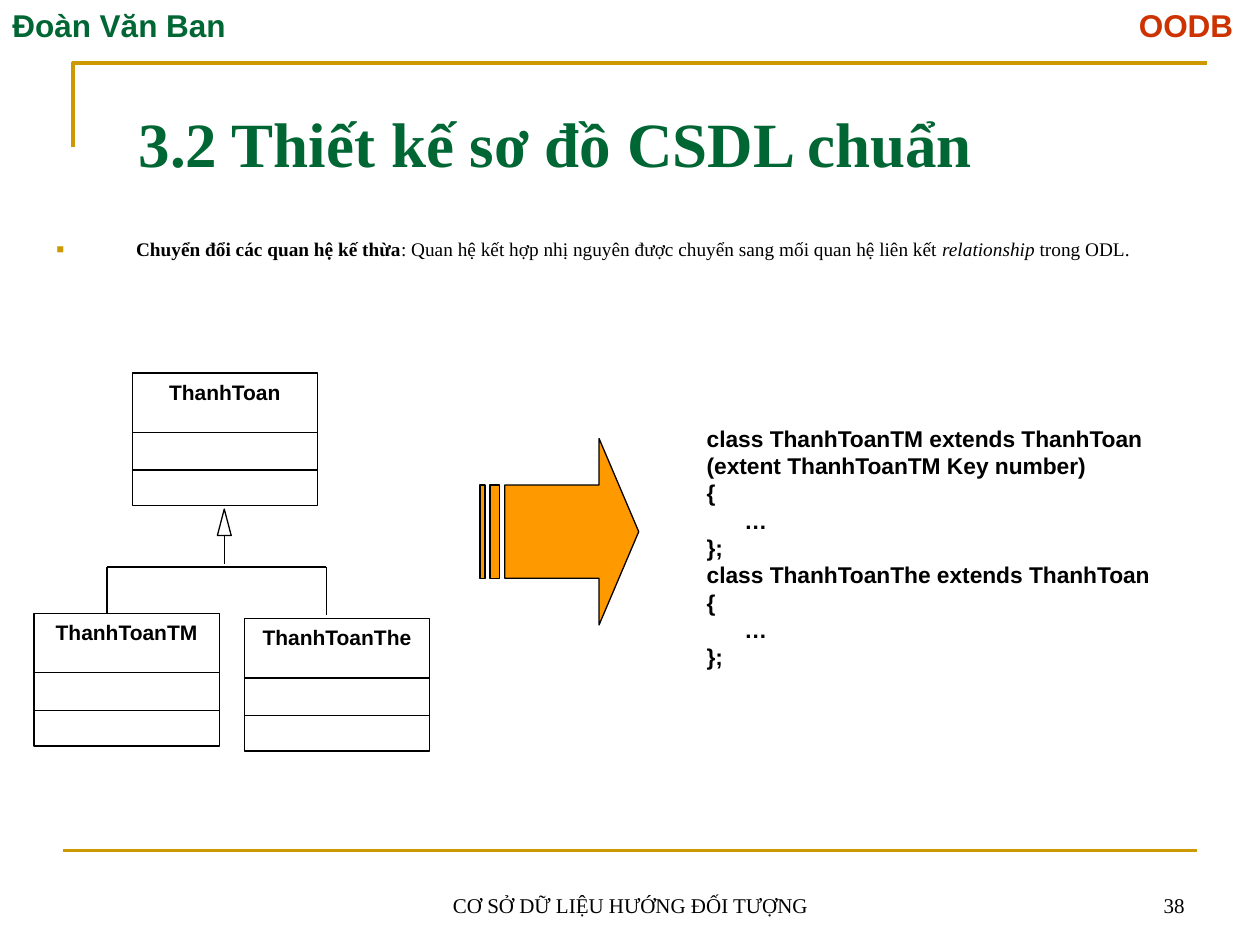
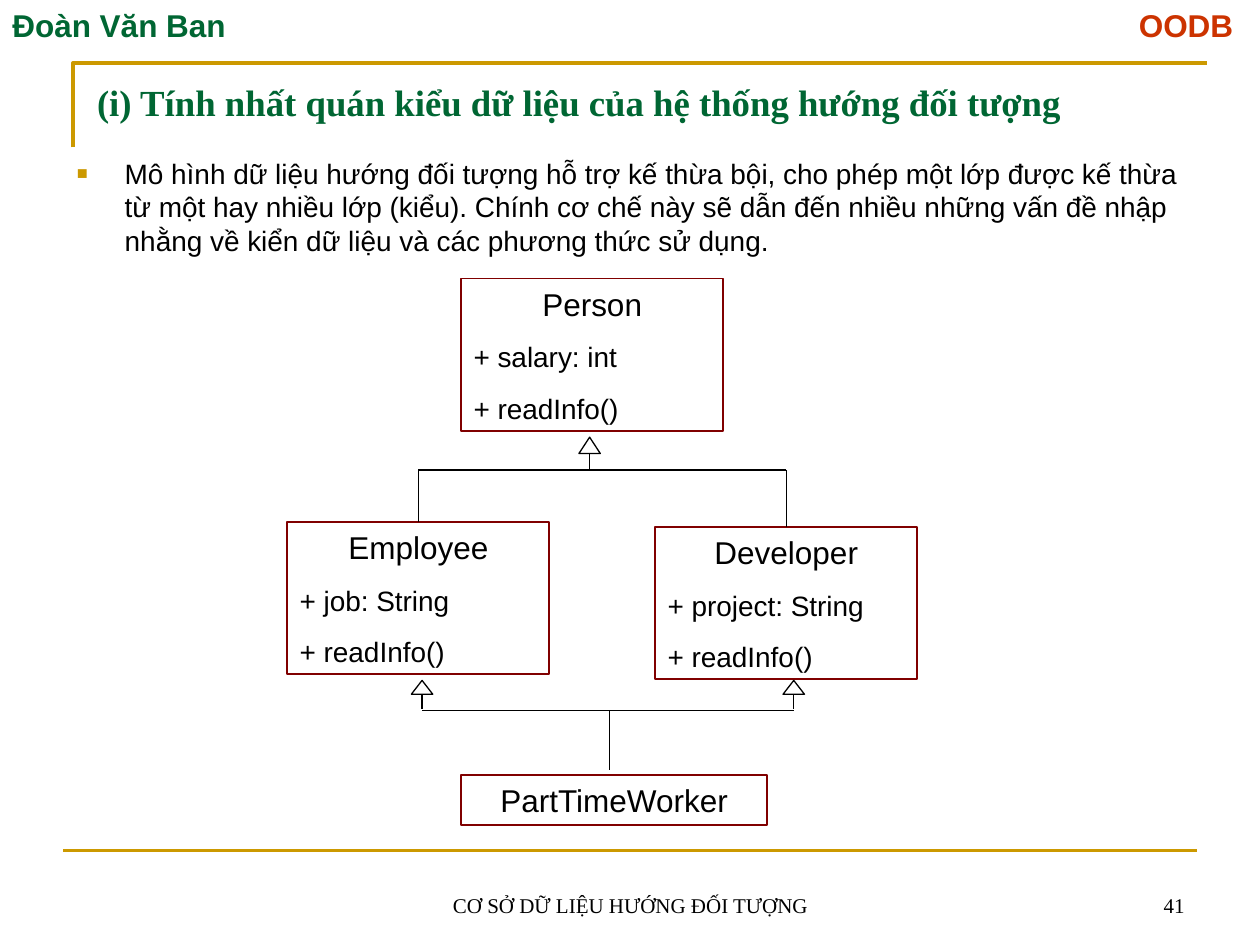
from dataclasses import dataclass

from lxml import etree
from pptx import Presentation
from pptx.dml.color import RGBColor
from pptx.enum.shapes import MSO_CONNECTOR, MSO_SHAPE
from pptx.enum.text import MSO_ANCHOR, MSO_AUTO_SIZE, PP_ALIGN
from pptx.oxml.ns import qn
from pptx.util import Inches, Pt

STRAIGHT = MSO_CONNECTOR.STRAIGHT
RECTANGLE, TRIANGLE = MSO_SHAPE.RECTANGLE, MSO_SHAPE.ISOSCELES_TRIANGLE
STRIPED_ARROW = MSO_SHAPE.STRIPED_RIGHT_ARROW
TOP, BOTTOM = MSO_ANCHOR.TOP, MSO_ANCHOR.BOTTOM
LEFT, CENTER, RIGHT = PP_ALIGN.LEFT, PP_ALIGN.CENTER, PP_ALIGN.RIGHT
JUSTIFY = PP_ALIGN.JUSTIFY
FIXED_SIZE = MSO_AUTO_SIZE.NONE

GOLD = RGBColor(0xCC, 0x99, 0x00)
GREEN = RGBColor(0x00, 0x66, 0x33)
RED = RGBColor(0xCC, 0x33, 0x00)
ORANGE = RGBColor(0xFF, 0x99, 0x00)
MAROON = RGBColor(0x80, 0x00, 0x00)
BLACK = RGBColor(0x00, 0x00, 0x00)
WHITE = RGBColor(0xFF, 0xFF, 0xFF)

SANS, SERIF = "Arial", "Times New Roman"
TOP_SIDE = 0


@dataclass(frozen=True)
class Frame:
    left: float
    top: float
    width: float
    height: float

    def lengths(self) -> list:
        return [Inches(n) for n in (self.left, self.top, self.width, self.height)]


@dataclass(frozen=True)
class TextStyle:
    size: float
    font: str = SANS
    color: RGBColor = BLACK
    bold: bool = False


@dataclass(frozen=True)
class ClassBox:
    name: str
    left: float
    top: float
    members: tuple = ()
    width: float = 2.08
    height: float = 1.21


@dataclass(frozen=True)
class InheritanceArrow:
    tip_x: float
    top: float
    width: float
    height: float
    stem_end: float


HEADER = TextStyle(18, color=GREEN, bold=True)
FOOTER = TextStyle(12, SERIF)
CODE = TextStyle(13, bold=True)
UML_NAME = TextStyle(12, bold=True)
CLASS_NAME, CLASS_MEMBER = TextStyle(18), TextStyle(16)


# Text helpers
def style_paragraph(para, style: TextStyle, align=LEFT) -> None:
    para.alignment = align
    font = para.font
    font.size, font.name, font.bold = Pt(style.size), style.font, style.bold
    font.color.rgb = style.color


def prepare_text(shape, anchor=TOP):
    frame = shape.text_frame
    frame.word_wrap = True
    frame.auto_size = FIXED_SIZE
    frame.vertical_anchor = anchor
    return frame


def add_text(page, place: Frame, lines: list, style: TextStyle, align=LEFT, anchor=TOP):
    frame = prepare_text(page.shapes.add_textbox(*place.lengths()), anchor)
    for index, line in enumerate(lines):
        para = frame.add_paragraph() if index else frame.paragraphs[0]
        para.text = line
        style_paragraph(para, style, align)
    return frame


def place_placeholder(shape, place: Frame, anchor=TOP):
    shape.left, shape.top, shape.width, shape.height = place.lengths()
    return prepare_text(shape, anchor)


def set_title(page, text: str, place: Frame, size: float, anchor) -> None:
    frame = place_placeholder(page.shapes.title, place, anchor)
    frame.text = text
    style_paragraph(frame.paragraphs[0], TextStyle(size, SERIF, GREEN, True))


def add_bullet(para, indent: float) -> None:
    properties = para._p.get_or_add_pPr()
    properties.set("marL", str(Inches(indent)))
    properties.set("indent", str(-Inches(indent)))
    color = etree.SubElement(properties, qn("a:buClr"))
    etree.SubElement(color, qn("a:srgbClr"), val=str(GOLD))
    etree.SubElement(properties, qn("a:buSzPct"), val="65000")
    etree.SubElement(properties, qn("a:buFont"), typeface=SANS)
    etree.SubElement(properties, qn("a:buChar"), char="■")


# Shape helpers
def add_line(page, x1: float, y1: float, x2: float, y2: float, color=BLACK, width=0.75):
    line = page.shapes.add_connector(STRAIGHT, *(Inches(n) for n in (x1, y1, x2, y2)))
    line.line.color.rgb = color
    line.line.width = Pt(width)
    etree.SubElement(line._element.spPr, qn("a:effectLst"))
    return line


def paint(shape, fill=None, line=BLACK, width=0.75) -> None:
    shape.shadow.inherit = False
    if fill is None:
        shape.fill.background()
    else:
        shape.fill.solid()
        shape.fill.fore_color.rgb = fill
    shape.line.color.rgb = line
    shape.line.width = Pt(width)


def add_preset(page, preset, place: Frame, fill=None, line=BLACK, width=0.75):
    shape = page.shapes.add_shape(preset, *place.lengths())
    paint(shape, fill, line, width)
    return shape


def add_inheritance_arrow(page, arrow: InheritanceArrow) -> None:
    left = arrow.tip_x - arrow.width / 2
    add_preset(page, TRIANGLE, Frame(left, arrow.top, arrow.width, arrow.height), WHITE)
    add_line(page, arrow.tip_x, arrow.top + arrow.height, arrow.tip_x, arrow.stem_end)


def add_uml_class(page, name: str, left: float, top: float) -> None:
    width, height = 1.47, 1.05
    box = add_preset(page, RECTANGLE, Frame(left, top, width, height), WHITE)
    para = prepare_text(box).paragraphs[0]
    para.text = name
    style_paragraph(para, UML_NAME, CENTER)
    for offset in (0.47, 0.77):
        add_line(page, left, top + offset, left + width, top + offset)


def add_class_box(page, item: ClassBox):
    place = Frame(item.left, item.top, item.width, item.height)
    box = add_preset(page, RECTANGLE, place, line=MAROON, width=1)
    frame = prepare_text(box)
    heading = frame.paragraphs[0]
    heading.text = item.name
    style_paragraph(heading, CLASS_NAME, CENTER)
    for member in item.members:
        para = frame.add_paragraph()
        para.text = member
        para.space_before = Pt(10)
        style_paragraph(para, CLASS_MEMBER)
    return box


# Frame lines, header and footer shared by all slides
def add_page(deck, number: int):
    page = deck.slides.add_slide(deck.slide_layouts[1])
    builder = page.shapes.build_freeform(Inches(0.58), Inches(1.17))
    corner = [(Inches(0.58), Inches(0.5)), (Inches(9.58), Inches(0.5))]
    builder.add_line_segments(corner, close=False)
    paint(builder.convert_to_shape(), line=GOLD, width=2.25)
    add_line(page, 0.5, 6.75, 9.5, 6.75, GOLD, 1.5)

    header = prepare_text(page.shapes.add_textbox(*Frame(0, 0, 10, 0.4).lengths()))
    para = header.paragraphs[0]
    tabs = etree.SubElement(para._p.get_or_add_pPr(), qn("a:tabLst"))
    etree.SubElement(tabs, qn("a:tab"), pos=str(Inches(9.69)), algn="r")
    para.add_run().text = "Đoàn Văn Ban\t"
    course = para.add_run()
    course.text = "OODB"
    style_paragraph(para, HEADER)
    course.font.color.rgb = RED

    add_text(page, Frame(3.42, 6.83, 3.17, 0.5), ["CƠ SỞ DỮ LIỆU HƯỚNG ĐỐI TƯỢNG"],
             FOOTER, CENTER, BOTTOM)
    add_text(page, Frame(7.17, 6.83, 2.33, 0.5), [str(number)], FOOTER, RIGHT, BOTTOM)
    return page


def build_schema_slide(deck) -> None:
    page = add_page(deck, 38)
    set_title(page, "3.2 Thiết kế sơ đồ CSDL chuẩn", Frame(1, 0.56, 9, 0.92), 36, BOTTOM)

    # Conversion rule
    frame = place_placeholder(page.placeholders[1], Frame(0.35, 1.82, 9.65, 0.59))
    frame.margin_top = Inches(0.1)
    para = frame.paragraphs[0]
    add_bullet(para, 0.63)
    para.line_spacing = 0.8
    para.space_before = Pt(7.5)
    style_paragraph(para, TextStyle(11, SERIF), JUSTIFY)
    for text, bold, italic in (
        ("Chuyển đổi các quan hệ kế thừa", True, False),
        (": Quan hệ kết hợp nhị nguyên được chuyển sang mối quan hệ liên kết ", False, False),
        ("relationship ", False, True),
        ("trong ODL.", False, False),
    ):
        span = para.add_run()
        span.text = text
        span.font.bold, span.font.italic = bold, italic

    # Arrow from the diagram to the generated code
    arrow = add_preset(page, STRIPED_ARROW, Frame(3.81, 3.48, 1.26, 1.48), ORANGE)
    arrow.adjustments[0], arrow.adjustments[1] = 0.5, 0.25

    code = add_text(page, Frame(5.51, 3.32, 4.21, 2.91), [
        "class ThanhToanTM extends ThanhToan",
        "(extent ThanhToanTM Key number)",
        "{", "…", "};",
        "class ThanhToanThe extends ThanhToan",
        "{", "…", "};",
    ], CODE)
    for para in code.paragraphs:
        if para.text == "…":
            para._p.get_or_add_pPr().set("marL", str(Inches(0.3)))

    # Payment class tree
    add_inheritance_arrow(page, InheritanceArrow(1.78, 4.04, 0.11, 0.21, 4.48))
    add_line(page, 0.85, 4.5, 2.59, 4.5)
    for x in (0.85, 2.59):
        add_line(page, x, 4.5, x, 4.88)
    for name, left, top in (("ThanhToanTM", 0.27, 4.87), ("ThanhToanThe", 1.94, 4.91),
                            ("ThanhToan", 1.05, 2.96)):
        add_uml_class(page, name, left, top)


def build_consistency_slide(deck) -> None:
    page = add_page(deck, 41)
    set_title(page, "(i) Tính nhất quán kiểu dữ liệu của hệ thống hướng đối tượng",
              Frame(0.67, 0.58, 9, 0.92), 21, TOP)

    # Explanation
    frame = place_placeholder(page.placeholders[1], Frame(0.51, 1.19, 9, 4.95))
    para = frame.paragraphs[0]
    para.text = (
        "Mô hình dữ liệu hướng đối tượng hỗ trợ kế thừa bội, cho phép một lớp được kế thừa "
        "từ một hay nhiều lớp (kiểu). Chính cơ chế này sẽ dẫn đến nhiều những vấn đề nhập "
        "nhằng về kiển dữ liệu và các phương thức sử dụng."
    )
    add_bullet(para, 0.38)
    para.space_before = Pt(4)
    style_paragraph(para, TextStyle(16))

    # Classes
    employee = ClassBox("Employee", 2.28, 4.14, ("+ job: String", "+ readInfo()"))
    developer = ClassBox("Developer", 5.2, 4.18, ("+ project: String", "+ readInfo()"))
    add_class_box(page, ClassBox("Person", 3.66, 2.21, ("+ salary: int", "+ readInfo()")))
    add_class_box(page, ClassBox("PartTimeWorker", 3.66, 6.15, width=2.43, height=0.4))

    # Person and its two subclasses
    add_inheritance_arrow(page, InheritanceArrow(4.68, 3.47, 0.17, 0.13, 3.73))
    middles = [item.left + item.width / 2 for item in (employee, developer)]
    add_line(page, middles[0], 3.73, middles[1], 3.73)
    for item, middle in zip((employee, developer), middles):
        box = add_class_box(page, item)
        branch = add_line(page, middle, 3.73, middle, item.top)
        branch.end_connect(box, TOP_SIDE)

    # Multiple inheritance of PartTimeWorker
    for tip_x in (3.35, 6.3):
        add_inheritance_arrow(page, InheritanceArrow(tip_x, 5.4, 0.17, 0.11, 5.63))
    add_line(page, 3.35, 5.64, 6.3, 5.64)
    add_line(page, 4.84, 6.11, 4.84, 5.64)


def main() -> None:
    deck = Presentation()
    deck.slide_width, deck.slide_height = Inches(10), Inches(7.5)
    build_schema_slide(deck)
    build_consistency_slide(deck)
    deck.save("out.pptx")


if __name__ == "__main__":
    main()
